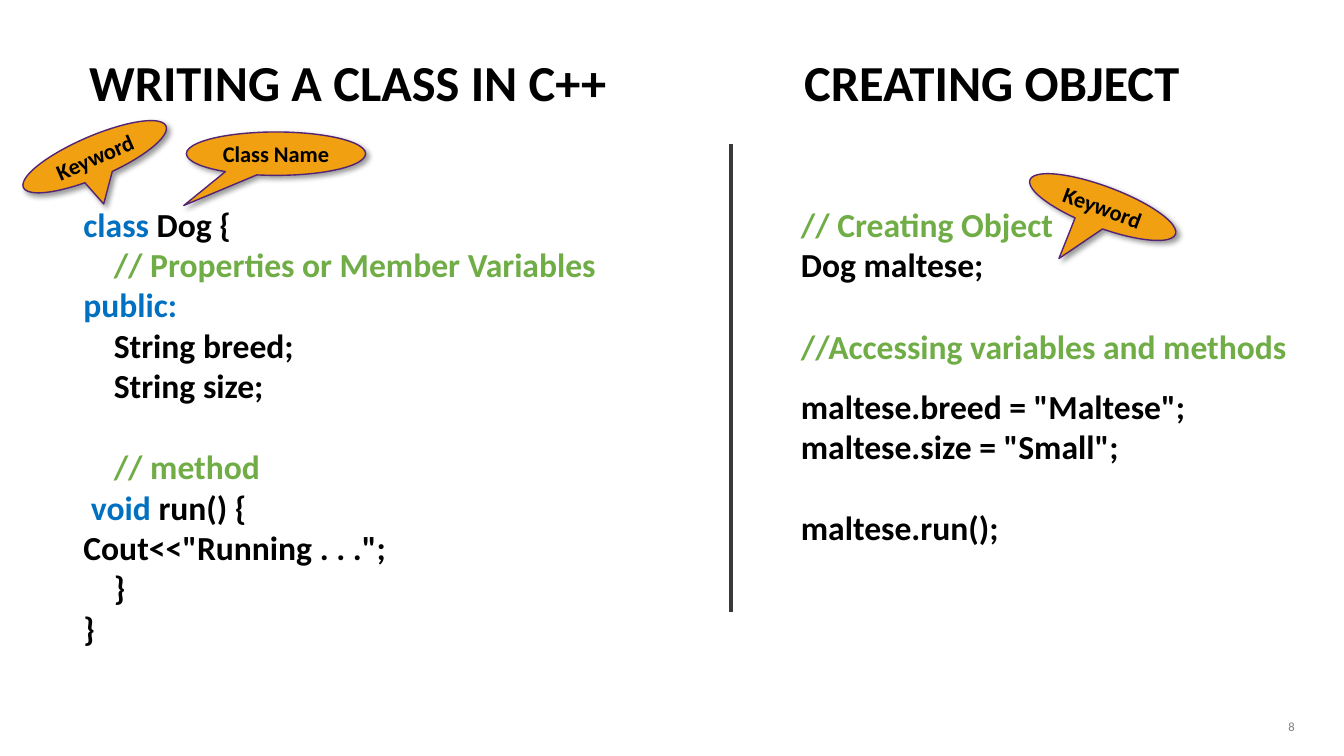
from lxml.etree import SubElement
from pptx import Presentation
from pptx.dml.color import RGBColor
from pptx.enum.shapes import MSO_CONNECTOR, MSO_SHAPE
from pptx.enum.text import MSO_ANCHOR, PP_ALIGN
from pptx.oxml.ns import qn
from pptx.util import Pt


def color(value):
    return RGBColor.from_string(value)


class ClassSlide:
    """Draws headings, code and callouts on one page in a shared style."""

    font = "Calibri"
    black = "000000"
    blue = "0070C0"
    green = "70AD47"
    orange = "F0A010"
    purple = "532476"
    code_size = 24
    code_line = 29.3

    def __init__(self, page):
        self.page = page

    def span(self, para, text, size, ink=black, bold=True):
        span = para.add_run()
        span.text = text
        span.font.name = self.font
        span.font.size = Pt(size)
        span.font.bold = bold
        span.font.color.rgb = color(ink)

    def text_box(self, left, top, width, height):
        box = self.page.shapes.add_textbox(Pt(left), Pt(top), Pt(width), Pt(height))
        box.text_frame.word_wrap = True
        return box

    def heading(self, box, text):
        frame = box.text_frame
        frame.word_wrap = True
        frame.vertical_anchor = MSO_ANCHOR.TOP
        para = frame.paragraphs[0]
        para.alignment = PP_ALIGN.CENTER
        para.line_spacing = 0.9
        self.span(para, text, 36)

    def title(self, text, left, top, width, height):
        box = self.page.shapes.title
        box.left, box.top, box.width, box.height = map(Pt, (left, top, width, height))
        self.heading(box, text)

    def code(self, lines, left, top, width, height):
        frame = self.text_box(left, top, width, height).text_frame
        for index, (spans, gap, spacing) in enumerate(lines):
            para = frame.add_paragraph() if index else frame.paragraphs[0]
            para.space_before = Pt(gap * self.code_line)
            para.line_spacing = spacing
            for text, ink in spans:
                self.span(para, text, self.code_size, ink)

    def divider(self, x, top, bottom):
        line = self.page.shapes.add_connector(
            MSO_CONNECTOR.STRAIGHT, Pt(x), Pt(top), Pt(x), Pt(bottom))
        line.line.color.rgb = color("3B3838")
        line.line.width = Pt(3)
        SubElement(line._element.spPr, qn("a:effectLst"))

    def callout(self, text, left, top, width, height, rotation, tip):
        shape = self.page.shapes.add_shape(
            MSO_SHAPE.OVAL_CALLOUT, Pt(left), Pt(top), Pt(width), Pt(height))
        shape.rotation = rotation
        shape.adjustments[0], shape.adjustments[1] = tip
        shape.fill.solid()
        shape.fill.fore_color.rgb = color(self.orange)
        shape.line.color.rgb = color(self.purple)
        shape.line.width = Pt(1)
        self.soft_shadow(shape)
        frame = shape.text_frame
        frame.margin_left = frame.margin_right = 0
        frame.vertical_anchor = MSO_ANCHOR.MIDDLE
        para = frame.paragraphs[0]
        para.alignment = PP_ALIGN.CENTER
        self.span(para, text, 16)

    def soft_shadow(self, shape):
        shape.shadow.inherit = False
        effects = shape._element.spPr.find(qn("a:effectLst"))
        shadow = SubElement(effects, qn("a:outerShdw"), blurRad=str(Pt(4)),
                            dist=str(Pt(3)), dir=str(45 * 60000), rotWithShape="0")
        ink = SubElement(shadow, qn("a:srgbClr"), val=self.black)
        SubElement(ink, qn("a:alpha"), val="40000")

    def page_number(self, text, left, top, width, height):
        frame = self.text_box(left, top, width, height).text_frame
        frame.vertical_anchor = MSO_ANCHOR.MIDDLE
        para = frame.paragraphs[0]
        para.alignment = PP_ALIGN.RIGHT
        self.span(para, text, 9, "7F7F7F", False)


def main():
    deck = Presentation()
    deck.slide_width, deck.slide_height = Pt(960), Pt(540)
    slide = ClassSlide(deck.slides.add_slide(deck.slide_layouts[5]))
    black, blue, green = slide.black, slide.blue, slide.green

    class_code = [
        ([("class", blue), (" Dog {", black)], 0, 1),
        ([("    // Properties or Member Variables", green)], 0, 1),
        ([("public:", blue)], 0, 1),
        ([("    String breed;", black)], 0, 1),
        ([("    String size;", black)], 0, 1),
        ([("    // method", green)], 1, 1),
        ([(" ", black), ("void", blue), (" run() {", black)], 0, 1),
        ([('Cout<<"Running . . .";', black)], 0, 1),
        ([("    }", black)], 0, 1),
        ([("}", black)], 0, 1),
    ]
    object_code = [
        ([("// Creating Object", green)], 0, 1),
        ([("Dog maltese;", black)], 0, 1),
        ([("//Accessing variables and methods", green)], 1, 1),
        ([('maltese.breed = "Maltese";', black)], 0, 1.5),
        ([('maltese.size = "Small";', black)], 0, 1),
        ([("maltese.run();", black)], 0, 2),
    ]

    slide.title("WRITING A CLASS IN C++", 20, 38, 457, 47)
    slide.heading(slide.text_box(480, 38, 457, 47), "CREATING OBJECT")
    slide.code(class_code, 52.5, 142, 478, 327)
    slide.code(object_code, 565, 142, 395, 254)
    slide.divider(522, 103, 437)
    slide.callout("Keyword", 12.2, 97.2, 111, 29.5, 336.7, (-0.067, 1.136))
    slide.callout("Class Name", 133.2, 94.3, 128, 31, 0, (-0.515, 1.193))
    slide.callout("Keyword", 732.2, 133.2, 111, 29.5, 20.5, (-0.148, 1.537))
    slide.page_number("8", 716, 509, 216, 19.5)
    deck.save("out.pptx")


if __name__ == "__main__":
    main()
